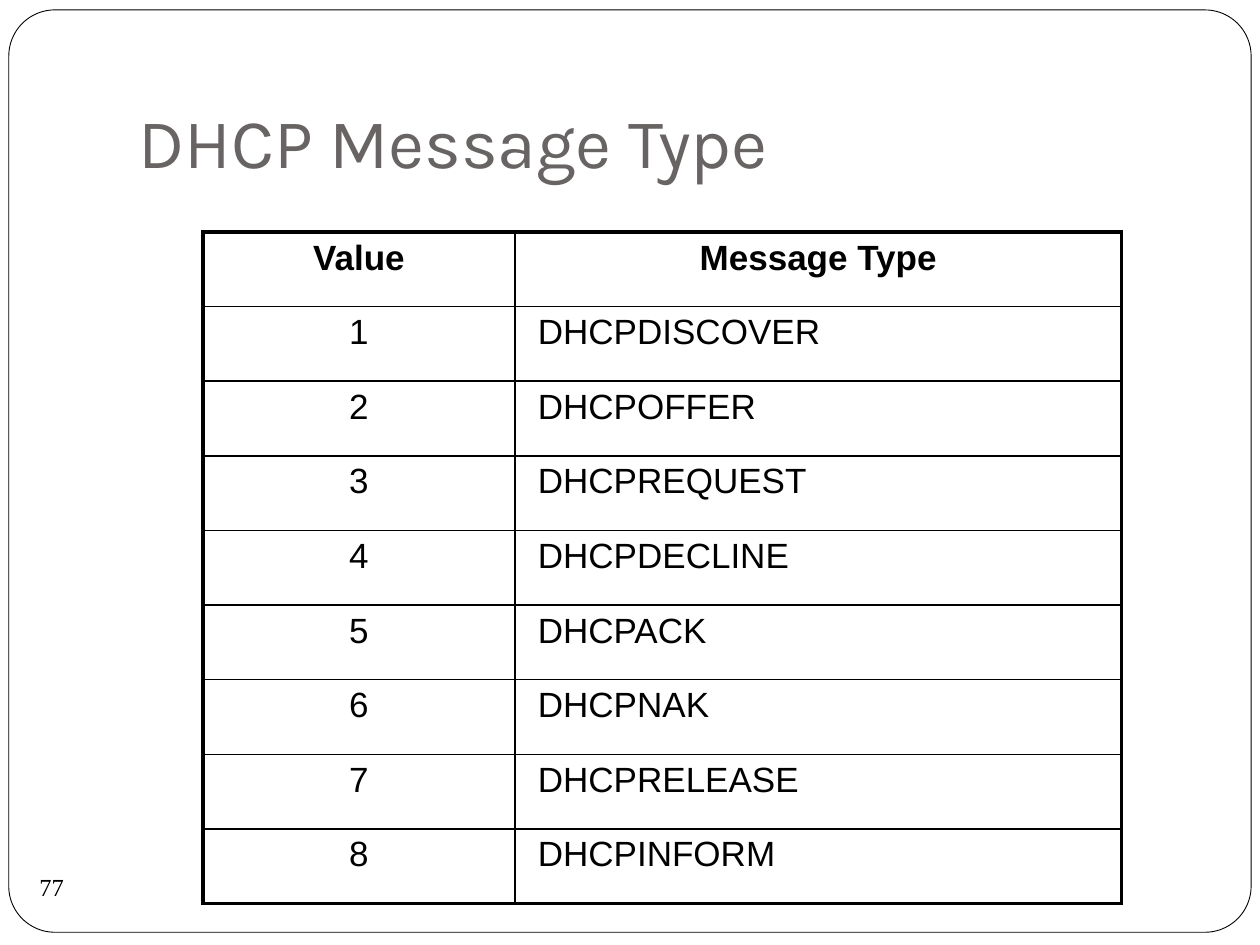
import lxml.etree
import pptx
import pptx.dml.color
import pptx.enum.shapes
import pptx.enum.text
import pptx.oxml.ns
import pptx.util

BLACK = pptx.dml.color.RGBColor(0x00, 0x00, 0x00)
WHITE = pptx.dml.color.RGBColor(0xFF, 0xFF, 0xFF)
GREY = pptx.dml.color.RGBColor(0x69, 0x64, 0x64)

THIN, THICK = 1, 2.25  # table border widths in points
VALUE_SHARE = 0.34  # share of the table width taken by the first column

HEADINGS = ("Value", "Message Type")
MESSAGES = ("DHCPDISCOVER", "DHCPOFFER", "DHCPREQUEST", "DHCPDECLINE",
            "DHCPACK", "DHCPNAK", "DHCPRELEASE", "DHCPINFORM")

SHAPE = pptx.enum.shapes.MSO_SHAPE
ANCHOR = pptx.enum.text.MSO_ANCHOR
ALIGN = pptx.enum.text.PP_ALIGN


def box(prs, left, top, width, height):
    """Turn percentages of the slide's size into lengths."""
    w, h = prs.slide_width / 100, prs.slide_height / 100
    return [round(v) for v in (left * w, top * h, width * w, height * h)]


def set_text(p, text, name, size, color, bold=False, align=ALIGN.LEFT):
    p.text = text
    p.alignment = align
    p.font.name = name
    p.font.size = pptx.util.Pt(size)
    p.font.color.rgb = color
    p.font.bold = bold


def set_margins(tf, left, top, right, bottom):
    tf.margin_left, tf.margin_top, tf.margin_right, tf.margin_bottom = (
        pptx.util.Inches(v) for v in (left, top, right, bottom))


def add_frame(slide, area):
    sp = slide.shapes.add_shape(SHAPE.ROUNDED_RECTANGLE, *area)
    sp.adjustments[0] = 0.05
    sp.shadow.inherit = False
    sp.fill.solid()
    sp.fill.fore_color.rgb = WHITE
    sp.line.color.rgb = BLACK
    sp.line.width = pptx.util.Pt(0.5)


def add_title(slide, area):
    tf = slide.shapes.add_textbox(*area).text_frame
    tf.word_wrap = True
    tf.vertical_anchor = ANCHOR.BOTTOM
    set_margins(tf, 0.1, 0.05, 0.1, 0.1)
    set_text(tf.paragraphs[0], "DHCP Message Type", "Karla", 40, GREY)


def set_borders(cell, widths):
    """Put left, right, top and bottom lines ahead of the cell's fill."""
    qn = pptx.oxml.ns.qn
    tc_pr = cell._tc.get_or_add_tcPr()
    for i, (side, width) in enumerate(zip("LRTB", widths)):
        ln = lxml.etree.Element(qn(f"a:ln{side}"), w=str(pptx.util.Pt(width)))
        fill = lxml.etree.SubElement(ln, qn("a:solidFill"))
        lxml.etree.SubElement(fill, qn("a:srgbClr"), val=str(BLACK))
        tc_pr.insert(i, ln)


def add_message_table(slide, area):
    rows = [HEADINGS] + [(str(n), m) for n, m in enumerate(MESSAGES, 1)]
    last_row, last_col = len(rows) - 1, len(HEADINGS) - 1
    table = slide.shapes.add_table(len(rows), len(HEADINGS), *area).table
    table.horz_banding = False
    table.first_row = False
    table.columns[0].width = round(area[2] * VALUE_SHARE)
    table.columns[1].width = area[2] - table.columns[0].width

    for r, row in enumerate(rows):
        table.rows[r].height = area[3] // len(rows)
        for c, text in enumerate(row):
            cell = table.cell(r, c)
            set_margins(cell, 0.18, 0.05, 0.18, 0.05)
            cell.fill.background()
            # The outer edge is thick, the inner grid thin
            outer = (c == 0, c == last_col, r == 0, r == last_row)
            set_borders(cell, [THICK if edge else THIN for edge in outer])
            centred = r == 0 or c == 0
            set_text(cell.text_frame.paragraphs[0], text, "Arial", 20, BLACK,
                     bold=r == 0, align=ALIGN.CENTER if centred else ALIGN.LEFT)


def add_slide_number(slide, area):
    sp = slide.shapes.add_shape(SHAPE.OVAL, *area)
    sp.shadow.inherit = False
    sp.fill.background()
    sp.line.fill.background()
    tf = sp.text_frame
    tf.word_wrap = False
    tf.vertical_anchor = ANCHOR.MIDDLE
    set_margins(tf, 0, 0, 0, 0)
    set_text(tf.paragraphs[0], "77", "Times New Roman", 14, BLACK,
             align=ALIGN.CENTER)


def main():
    prs = pptx.Presentation()
    prs.slide_width = pptx.util.Inches(10)
    prs.slide_height = pptx.util.Inches(7.5)
    slide = prs.slides.add_slide(prs.slide_layouts[6])

    add_frame(slide, box(prs, 0.7, 1.05, 98.6, 97.6))
    add_title(slide, box(prs, 10, 4, 85, 16.67))
    add_message_table(slide, box(prs, 16.1, 24.55, 72.9, 71.1))
    add_slide_number(slide, box(prs, 1.6, 90.5, 5, 6.67))

    prs.save("out.pptx")


if __name__ == "__main__":
    main()
